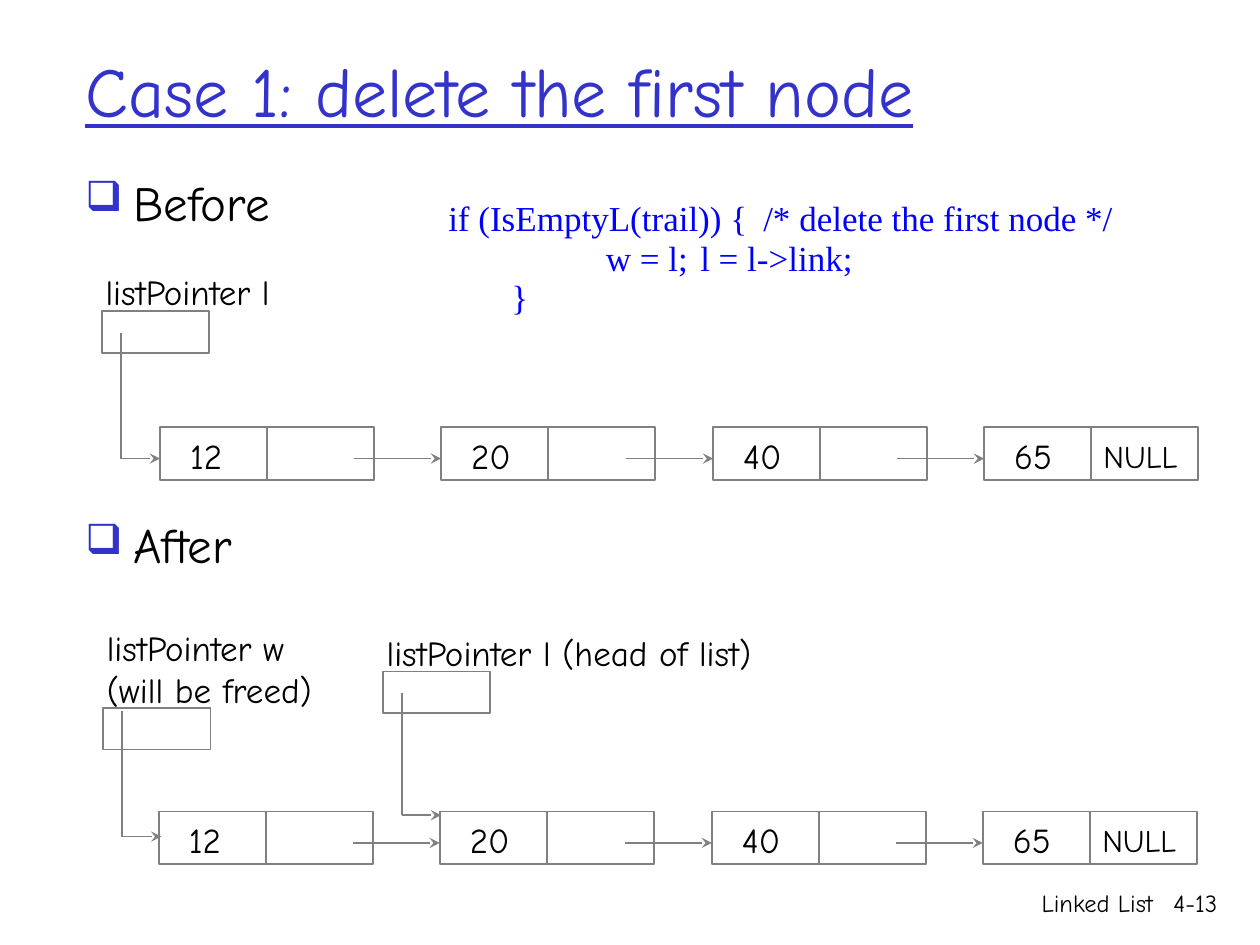
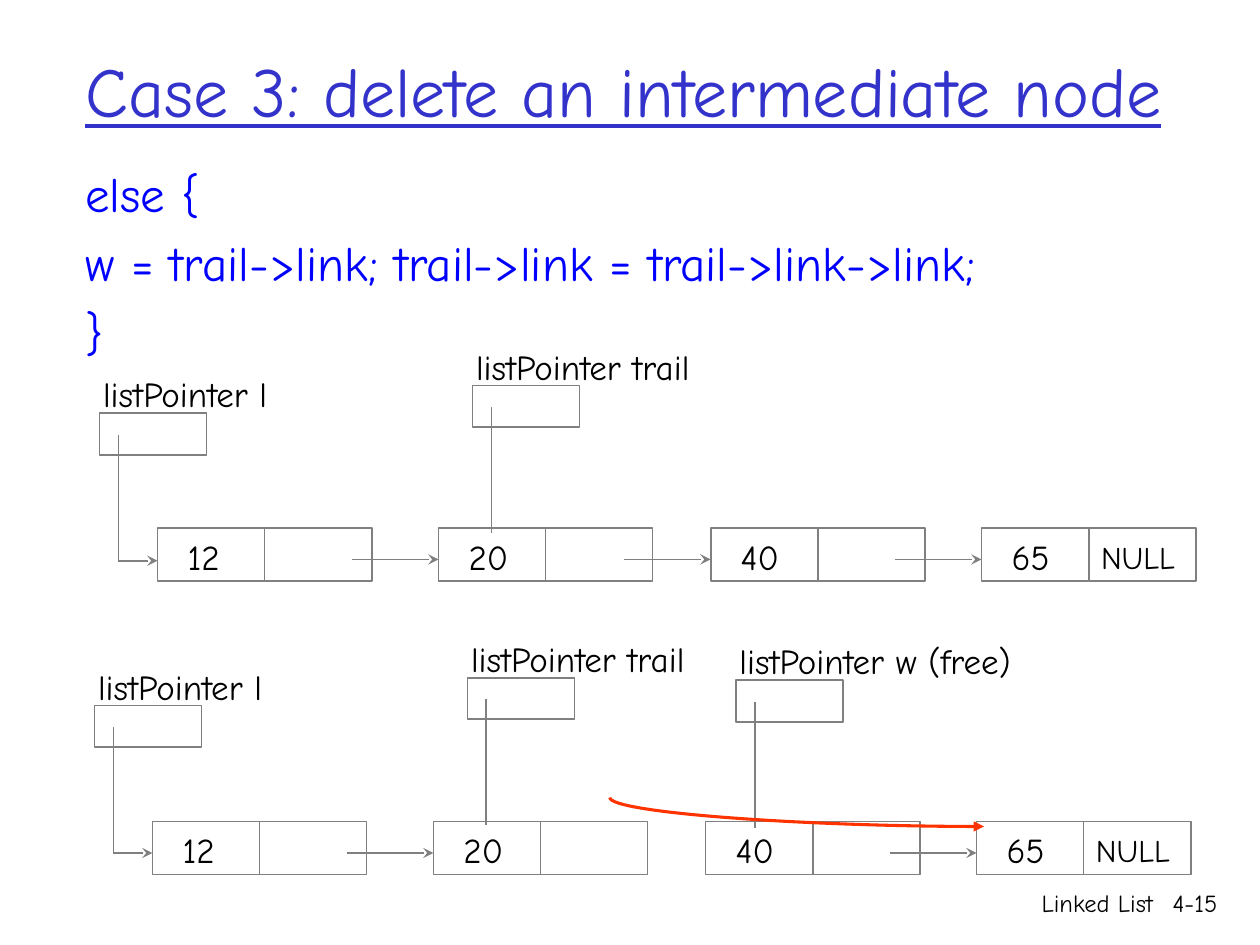
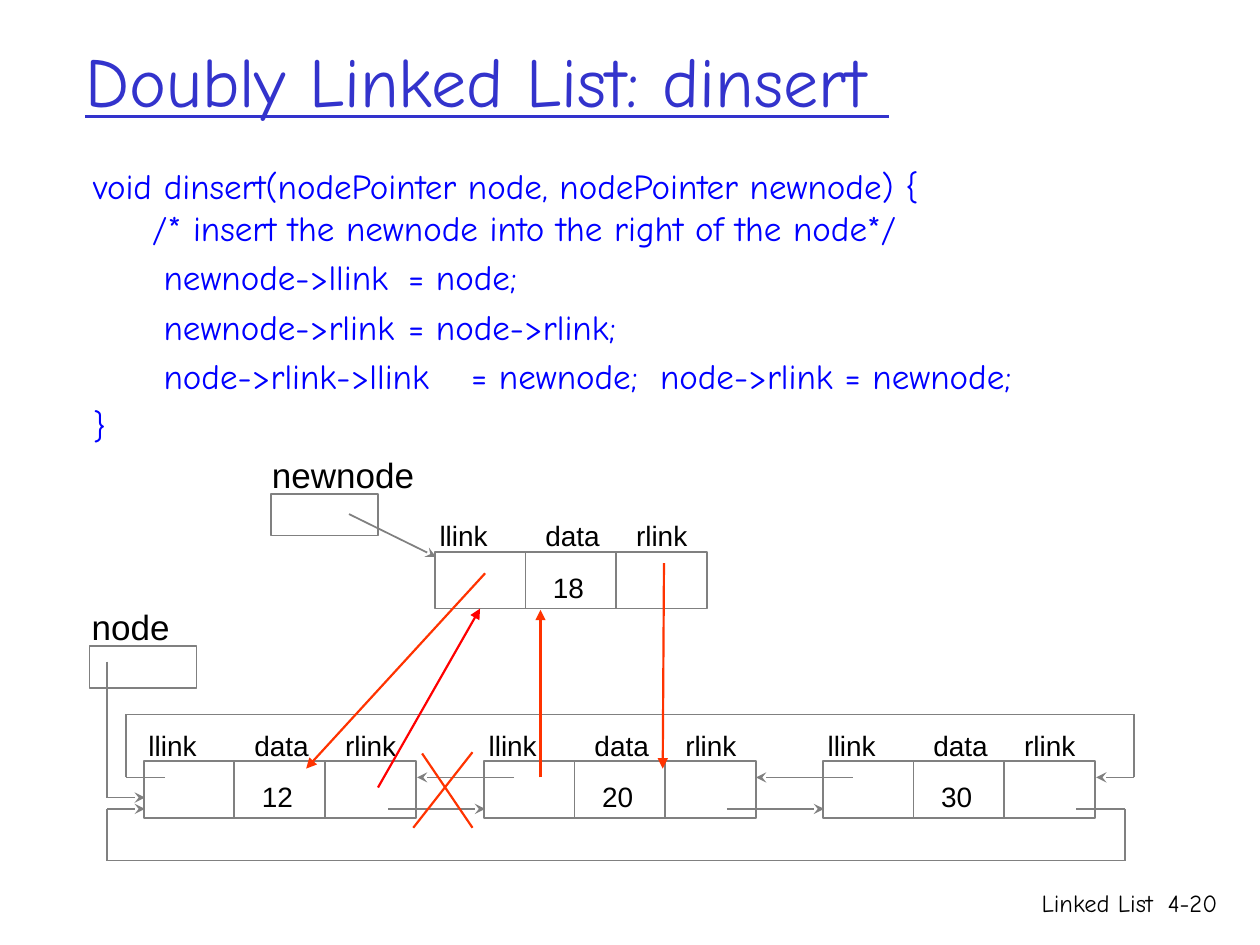
from itertools import pairwise

from lxml.etree import SubElement
from pptx import Presentation
from pptx.dml.color import RGBColor
from pptx.enum.shapes import MSO_CONNECTOR, MSO_SHAPE
from pptx.enum.text import MSO_ANCHOR, PP_ALIGN
from pptx.oxml.ns import qn
from pptx.util import Emu, Pt

PX = 9144
TITLE_BLUE = RGBColor(0x33, 0x33, 0xCC)
CODE_BLUE = RGBColor(0x00, 0x00, 0xFF)
BLACK = RGBColor(0x00, 0x00, 0x00)
GRAY = RGBColor(0x80, 0x80, 0x80)
ORANGE = RGBColor(0xFF, 0x33, 0x00)
RED = RGBColor(0xFF, 0x00, 0x00)
COMIC = "Comic Neue"
ARIAL = "Arial"
TIMES = "Times New Roman"

CELL_W, CELL_H = 85, 42
FIELD_W, FIELD_H = 72, 45
BOX_H = 33
NODE_OFFSETS = (0, 223, 439, 654)
NODE_VALUES = ("12", "20", "40", "65")
LINK_LEN = 69
FIELDS = (("llink", -6, 59), ("data", 78, 64), ("rlink", 150, 61))


def px(*values):
    return [Emu(v * PX) for v in values]


def add_run(p, text, size, color=BLACK, font=COMIC):
    r = p.add_run()
    r.text = text
    r.font.size = Pt(size)
    r.font.name = font
    r.font.color.rgb = color
    return r


def text_frame(s, x, y, w, h, wrap=True):
    tf = s.shapes.add_textbox(*px(x, y, w, h)).text_frame
    tf.word_wrap = wrap
    return tf


def paragraphs(tf, count):
    return [tf.paragraphs[0]] + [tf.add_paragraph() for _ in range(count - 1)]


def label(s, x, y, w, h, text, size=20, font=COMIC):
    tf = text_frame(s, x, y, w, h, wrap=False)
    lines = text.split("\n")
    for p, line in zip(paragraphs(tf, len(lines)), lines):
        add_run(p, line, size, font=font)


def title(s, text, w=850, h=92):
    tf = text_frame(s, 58, 25, w, h)
    tf.vertical_anchor = MSO_ANCHOR.MIDDLE
    add_run(tf.paragraphs[0], text, 40, TITLE_BLUE).font.underline = True


def footer(s, number):
    for x, w, text in ((608, 317, "Linked List"), (908, 68, number)):
        p = text_frame(s, x, 700, w, 50).paragraphs[0]
        p.alignment = PP_ALIGN.RIGHT
        add_run(p, text, 14)


def bullets(s, x, y, w, h, items):
    tf = text_frame(s, x, y, w, h)
    for p, (text, before) in zip(paragraphs(tf, len(items)), items):
        p.space_before = Pt(before)
        pPr = p._p.get_or_add_pPr()
        pPr.set("marL", str(38 * PX))
        pPr.set("indent", str(-38 * PX))
        clr = SubElement(pPr, qn("a:buClr"))
        SubElement(clr, qn("a:srgbClr"), val=str(TITLE_BLUE))
        SubElement(pPr, qn("a:buSzPct"), val="85000")
        SubElement(pPr, qn("a:buChar"), char="❑")
        add_run(p, text, 28)


def code(s, x, y, w, h, lines, size, before, font=COMIC, spacing=1.0):
    tf = text_frame(s, x, y, w, h)
    for p, (indent, tabs, text) in zip(paragraphs(tf, len(lines)), lines):
        p.space_before = Pt(before)
        p.line_spacing = spacing
        pPr = p._p.get_or_add_pPr()
        pPr.set("marL", "0")
        pPr.set("indent", str(indent * PX))
        if tabs:
            tab_list = SubElement(pPr, qn("a:tabLst"))
            for tab in tabs:
                SubElement(tab_list, qn("a:tab"), pos=str(tab * PX), algn="l")
        add_run(p, text, size, CODE_BLUE, font)
    return tf


def rect(s, x, y, w, h):
    sp = s.shapes.add_shape(MSO_SHAPE.RECTANGLE, *px(x, y, w, h))
    sp.shadow.inherit = False
    sp.fill.background()
    sp.line.color.rgb = GRAY
    sp.line.width = Pt(1)


def line(s, start, end, head=None, color=GRAY, width=1,
         kind=MSO_CONNECTOR.STRAIGHT):
    cn = s.shapes.add_connector(kind, *px(*start, *end))
    cn.line.color.rgb = color
    cn.line.width = Pt(width)
    if head:
        SubElement(cn.line._get_or_add_ln(), qn("a:tailEnd"), type=head)
    SubElement(cn._element.spPr, qn("a:effectLst"))
    return cn


def route(s, *points, head="stealth"):
    legs = list(pairwise(points))
    for start, end in legs[:-1]:
        line(s, start, end)
    line(s, *legs[-1], head)


def bypass_curve(s):
    cn = line(s, (644, 496), (621, 793), "triangle", ORANGE, 1.75,
              MSO_CONNECTOR.CURVE)
    spPr = cn._element.spPr
    spPr.find(qn("a:prstGeom")).set("prst", "curvedConnector2")
    spPr.find(qn("a:xfrm")).set("rot", str(270 * 60000))


def named_box(s, x, y, text, w, font=COMIC, inset=7):
    rows = text.count("\n") + 1
    rect(s, x, y, CELL_W, BOX_H)
    label(s, x - inset, y - 4 - 33 * rows, w, 11 + 33 * rows, text, font=font)


def pointer(s, x, y, text, w, hook=False, lead=17, drop=100):
    named_box(s, x, y, text, w)
    top, bottom = (x + 15, y + lead), (x + 15, y + lead + drop)
    if hook:
        route(s, top, bottom, (x + 46, bottom[1]))
    else:
        line(s, top, bottom)


def chain(s, x, y, unlinked=()):
    for value, offset in zip(NODE_VALUES, NODE_OFFSETS):
        left = x + offset
        for col in range(2):
            rect(s, left + col * CELL_W, y, CELL_W, CELL_H)
        label(s, left + 14, y + 1, 51 if value == "12" else 55, 44, value)
        if offset and value not in unlinked:
            line(s, (left - LINK_LEN, y + 25), (left, y + 25), "stealth")
    label(s, x + NODE_OFFSETS[-1] + CELL_W, y + 3, 87, 40, "NULL", 18)


def record(s, x, y, value):
    for col, (name, dx, w) in enumerate(FIELDS):
        rect(s, x + col * FIELD_W, y, FIELD_W, FIELD_H)
        label(s, x + dx, y - 31, w, 37, name, 16, ARIAL)
    label(s, x + 84, y + 10, 45, 37, value, 16, ARIAL)


def delete_first(s):
    title(s, "Case 1: delete the first node")
    bullets(s, 58, 132, 850, 536, [("Before", 5.6), ("After", 162)])
    footer(s, "4-13")
    code(s, 296, 159, 654, 99, [
        (50, [307], "if (IsEmptyL(trail)) {\t/* delete the first node */"),
        (175, [295], "w = l;\tl = l->link;"),
        (100, [], "}"),
    ], 20, 4.6, TIMES, 0.75)
    pointer(s, 81, 247, "listPointer l", 173, hook=True)
    chain(s, 127, 339)
    pointer(s, 304, 533, "listPointer l (head of list)", 361, hook=True, drop=97)
    pointer(s, 82, 562, "listPointer w\n(will be freed)", 207, hook=True, lead=2)
    chain(s, 126, 644)


def delete_intermediate(s):
    title(s, "Case 3: delete an intermediate node", w=952)
    footer(s, "4-15")
    code(s, 58, 125, 850, 508, [
        (0, [], "else {"),
        (0, [], "w = trail->link; trail->link = trail->link->link;"),
        (0, [], "}"),
    ], 28, 5.6)
    pointer(s, 79, 328, "listPointer l", 173, hook=True)
    pointer(s, 375, 306, "listPointer trail", 222)
    chain(s, 125, 419)
    pointer(s, 75, 560, "listPointer l", 173, hook=True)
    pointer(s, 371, 538, "listPointer trail", 222)
    pointer(s, 584, 540, "listPointer w (free)", 272)
    chain(s, 121, 652, unlinked=("40",))
    bypass_curve(s)


def doubly_insert(s):
    title(s, "Doubly Linked List: dinsert ", h=77)
    footer(s, "4-20")
    tf = code(s, 64, 126, 850, 265, [
        (0, [], "void dinsert(nodePointer node, nodePointer newnode) {"),
        (47, [], "/* insert the newnode into the right of the node*/"),
        (56, [289], "newnode->llink\t= node;"),
        (56, [285], "newnode->rlink\t= node->rlink;"),
        (56, [285, 492], "node->rlink->llink\t= newnode;\tnode->rlink = newnode;"),
        (0, [], "}"),
    ], 20, 4)
    tf.paragraphs[1].space_before = Pt(0)

    named_box(s, 215, 392, "newnode", 134, ARIAL, inset=9)
    line(s, (277, 408), (346, 442), "stealth")
    record(s, 345, 438, "18")
    named_box(s, 71, 513, "node", 83, ARIAL, inset=8)
    route(s, (85, 525), (85, 633), (115, 633))
    for x, value in ((114, "12"), (384, "20"), (653, "30")):
        record(s, x, 604, value)
    for x in (308, 577):
        line(s, (x, 642), (x + 77, 642), "stealth")
        line(s, (x + 100, 617), (x + 23, 617), "stealth")
    route(s, (854, 642), (893, 642), (893, 683), (85, 683), (85, 642), (115, 642))
    route(s, (131, 617), (100, 617), (100, 567), (900, 567), (900, 617), (870, 617))

    for start, end, head, color in (
        ((385, 455), (243, 610), "triangle", ORANGE),
        ((527, 447), (526, 610), "triangle", ORANGE),
        ((429, 617), (429, 484), "triangle", ORANGE),
        ((300, 625), (381, 483), "triangle", RED),
        ((335, 598), (375, 657), None, ORANGE),
        ((375, 597), (328, 657), None, ORANGE),
    ):
        line(s, start, end, head, color, 1.25)


def main():
    prs = Presentation()
    prs.slide_width, prs.slide_height = px(1000, 750)
    for build in (delete_first, delete_intermediate, doubly_insert):
        build(prs.slides.add_slide(prs.slide_layouts[6]))
    prs.save("out.pptx")


if __name__ == "__main__":
    main()
